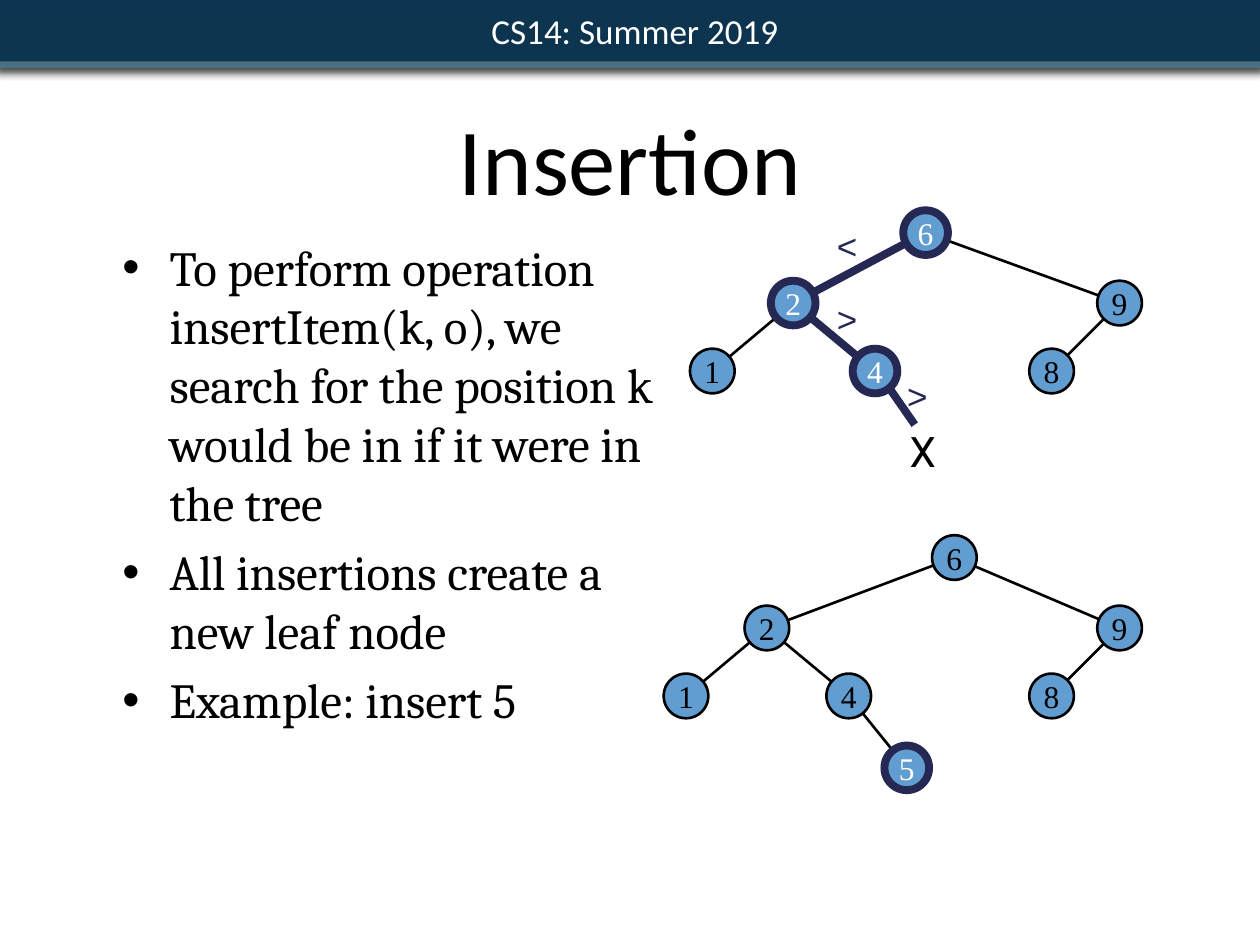
from math import hypot

from lxml.etree import SubElement
from pptx import Presentation
from pptx.dml.color import RGBColor
from pptx.enum.shapes import MSO_CONNECTOR as Connector, MSO_SHAPE as Preset
from pptx.enum.text import MSO_ANCHOR as Anchor, PP_ALIGN as Align
from pptx.oxml.ns import qn
from pptx.util import Cm, Pt

BLACK = RGBColor(0x00, 0x00, 0x00)
WHITE = RGBColor(0xFF, 0xFF, 0xFF)
NAVY = RGBColor(0x24, 0x28, 0x52)
BLUE = RGBColor(0x62, 0x9D, 0xD1)
BAR_DARK = RGBColor(0x06, 0x2F, 0x4B)
BAR_TEAL = RGBColor(0x42, 0x7A, 0x92)

DIAMETER = 0.9
LEVELS = (0, 1.42, 2.79, 4.24)  # depth of each tree level


class SlideBuilder:
    """Holds the style and the current slide; lengths are in centimetres."""
    thin, thick = 1.5, 4.5
    inset = 0.13

    def __init__(self, presentation):
        self.slide = presentation.slides.add_slide(presentation.slide_layouts[6])

    def set_text(self, shape, text, font, size, color, align=Align.LEFT,
                 anchor=Anchor.TOP, inset=inset, wrap=True, bullet=None):
        """Fill a shape with one paragraph per line of text."""
        frame = shape.text_frame
        frame.word_wrap = wrap
        frame.vertical_anchor = anchor
        frame.margin_left = frame.margin_right = Cm(inset)
        frame.margin_top = frame.margin_bottom = Cm(inset)
        frame.text = text
        for paragraph in frame.paragraphs:
            if bullet:
                properties = paragraph._p.get_or_add_pPr()
                properties.set("marL", str(Cm(0.95)))
                properties.set("indent", str(-Cm(0.95)))
                SubElement(properties, qn("a:buFont"), typeface="Arial")
                SubElement(properties, qn("a:buChar"), char=bullet)
            paragraph.alignment = align
            paragraph.font.name = font
            paragraph.font.size = Pt(size)
            paragraph.font.color.rgb = color
        return frame.paragraphs

    def text(self, box, text, font, size, color, **options):
        shape = self.slide.shapes.add_textbox(*map(Cm, box))
        return self.set_text(shape, text, font, size, color, **options)

    def bar(self, box, fill, shadow, shadow_alpha, alpha=100):
        shape = self.slide.shapes.add_shape(Preset.RECTANGLE, *map(Cm, box))
        shape.fill.solid()
        shape.fill.fore_color.rgb = fill
        shape.line.fill.background()
        properties = shape._element.spPr
        color = properties.find(".//" + qn("a:srgbClr"))
        SubElement(color, qn("a:alpha"), val=str(alpha * 1000))
        effects = SubElement(properties, qn("a:effectLst"))
        outer = SubElement(effects, qn("a:outerShdw"), blurRad=str(Pt(5)),
                           dist=str(Pt(2)), dir="5400000", rotWithShape="0")
        color = SubElement(outer, qn("a:srgbClr"), val=shadow)
        SubElement(color, qn("a:alpha"), val=str(shadow_alpha * 1000))
        return shape

    def outline(self, shape, marked):
        shape.line.color.rgb = NAVY if marked else BLACK
        shape.line.width = Pt(self.thick if marked else self.thin)

    def node(self, center, label, marked):
        x, y = center
        shape = self.slide.shapes.add_shape(
            Preset.OVAL, Cm(x - DIAMETER / 2), Cm(y - DIAMETER / 2),
            Cm(DIAMETER), Cm(DIAMETER))
        shape.shadow.inherit = False
        shape.fill.solid()
        shape.fill.fore_color.rgb = BLUE
        self.outline(shape, marked)
        self.set_text(shape, label, "Times New Roman", 18,
                      WHITE if marked else BLACK, align=Align.CENTER,
                      anchor=Anchor.MIDDLE, inset=0, wrap=False)

    def line(self, start, end, marked):
        connector = self.slide.shapes.add_connector(
            Connector.STRAIGHT, *map(Cm, (*start, *end)))
        self.outline(connector, marked)
        SubElement(connector._element.spPr, qn("a:effectLst"))

    def tree(self, top, nodes, edges, marked):
        """Draw nodes given as label: (x, level), joined rim to rim."""
        centers = {label: (x, top + LEVELS[level])
                   for label, (x, level) in nodes.items()}
        for parent, child in edges:
            (x1, y1), (x2, y2) = centers[parent], centers[child]
            length = hypot(x2 - x1, y2 - y1)
            dx, dy = (x2 - x1) / length, (y2 - y1) / length
            r1, r2 = (DIAMETER / 2 + (0.06 if label in marked else 0)
                      for label in (parent, child))
            self.line((x1 + dx * r1, y1 + dy * r1),
                      (x2 - dx * r2, y2 - dy * r2),
                      parent in marked and child in marked)
        for label, center in centers.items():
            self.node(center, label, label in marked)


def main():
    presentation = Presentation()
    presentation.slide_width, presentation.slide_height = Cm(25.4), Cm(19.05)
    builder = SlideBuilder(presentation)

    # Header band
    builder.bar((-0.1, 0, 25.58, 1.37), BAR_TEAL, "000000", 75)
    header = builder.bar((-0.03, 0, 25.48, 1.24), BAR_DARK, "5E5E5E", 50, alpha=90)
    paragraphs = builder.set_text(header, "CS14: Summer 2019", "Calibri", 20, WHITE,
                                  align=Align.CENTER, anchor=Anchor.MIDDLE, inset=0.15)
    paragraphs[0]._p.get_or_add_pPr().set("indent", str(Cm(0.18)))

    # Title and explanation
    title = builder.text((1.27, 0, 22.86, 4.45), "Insertion", "Calibri", 54, BLACK,
                         align=Align.CENTER, anchor=Anchor.BOTTOM)
    title[0].line_spacing = Pt(58)
    points = (
        "To perform operation insertItem(k, o), we search for the position k "
        "would be in if it were in the tree",
        "All insertions create a new leaf node",
        "Example: insert 5")
    paragraphs = builder.text((2.34, 4.65, 11.2, 12.07), "\n".join(points),
                              "Cambria", 28, BLACK, bullet="•")
    for paragraph in paragraphs[1:]:
        paragraph.space_before = Pt(6)

    # Tree during the search, with the search path marked
    edges = [("6", "2"), ("6", "9"), ("9", "8"), ("2", "1"), ("2", "4")]
    right_side = {"9": (22.57, 1), "8": (21.2, 2)}
    builder.tree(4.69, {"6": (18.66, 0), "2": (15.99, 1), "4": (17.64, 2),
                        "1": (14.36, 2), **right_side}, edges, marked="624")
    builder.line((17.96, 7.87), (18.44, 8.56), marked=True)
    for sign, x, y in (("<", 16.74, 4.39), (">", 16.74, 5.87), (">", 18.16, 7.42)):
        builder.text((x, y, 0.69, 0.97), sign, "Arial", 20, NAVY, wrap=False)
    builder.text((18.21, 8.46, 0.79, 1.27), "X", "Roboto", 24, BLACK,
                 anchor=Anchor.MIDDLE, wrap=False)

    # Tree after the insertion, with the new leaf marked
    builder.tree(11.24, {"6": (19.24, 0), "2": (15.46, 1), "4": (17.11, 2),
                         "1": (13.83, 2), "5": (18.28, 3), **right_side},
                 edges + [("4", "5")], marked="5")

    presentation.save("out.pptx")


if __name__ == "__main__":
    main()
